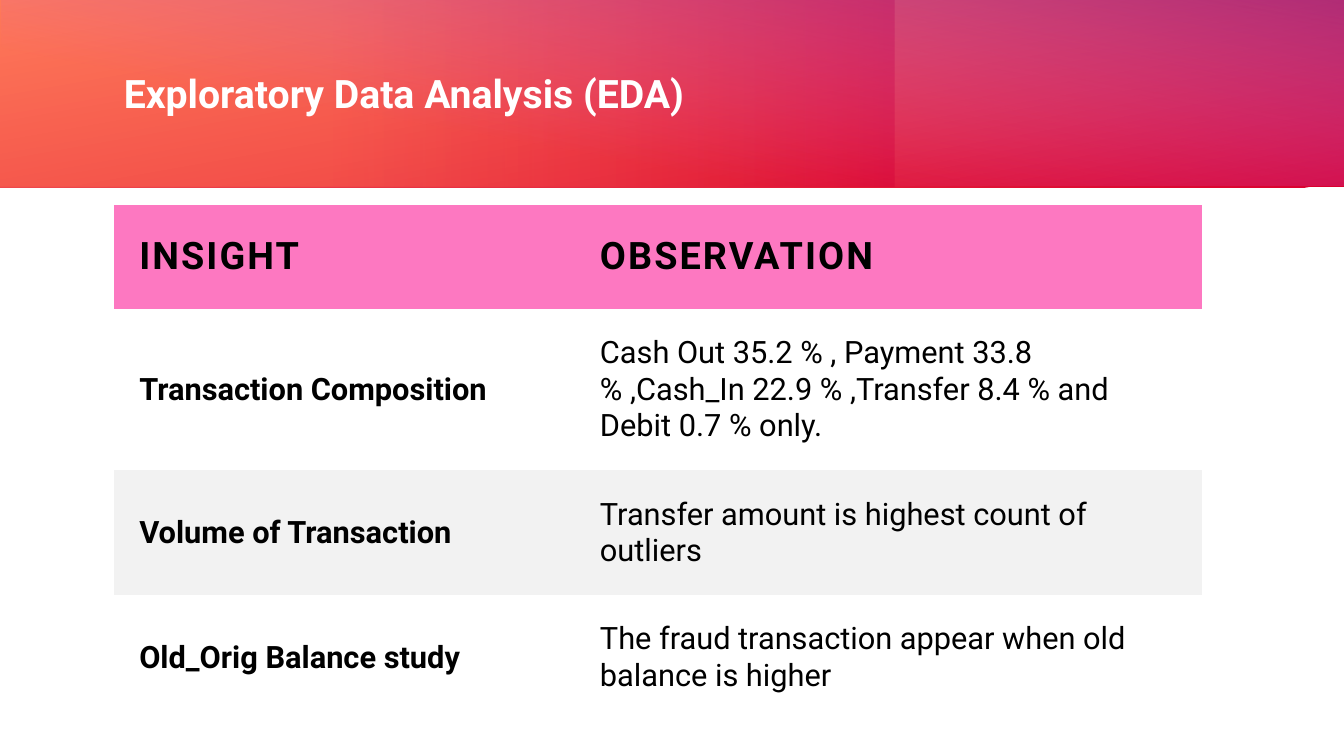
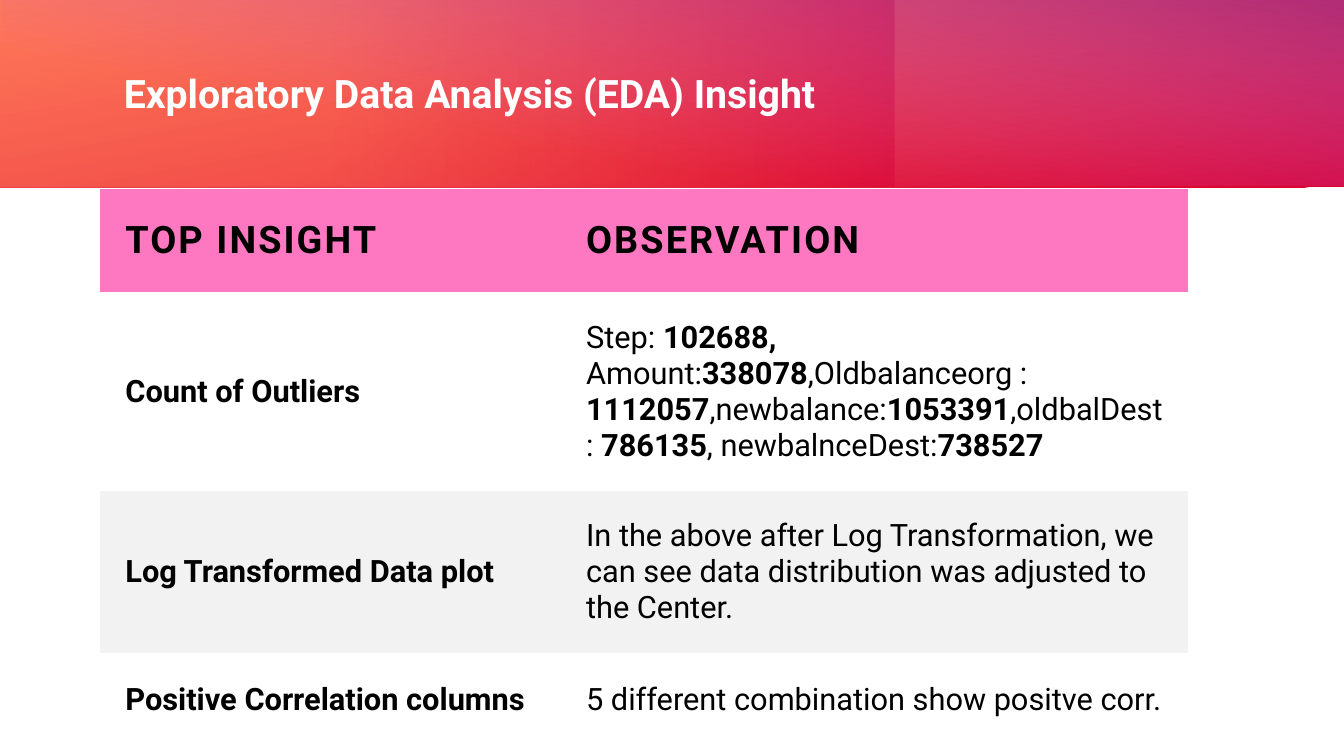
from pptx import Presentation
from pptx.dml.color import RGBColor
from pptx.enum.shapes import MSO_SHAPE
from pptx.enum.text import MSO_ANCHOR
from pptx.oxml.ns import qn
from pptx.util import Cm, Pt
from lxml import etree

FONT = "Roboto"
WHITE = RGBColor(0xFF, 0xFF, 0xFF)
BLACK = RGBColor(0x00, 0x00, 0x00)
PINK = RGBColor(0xFD, 0x78, 0xC1)
GREY = RGBColor(0xF2, 0xF2, 0xF2)
RED = RGBColor(0xDA, 0x00, 0x2F)
ORANGE = RGBColor(0xFF, 0x84, 0x63)
CORAL = RGBColor(0xFF, 0x6C, 0x4F)
ORCHID = RGBColor(0xD8, 0x61, 0xD4)
PURPLE = RGBColor(0x93, 0x25, 0x8E)

PLAIN_TABLE = "{2D5ABB26-0587-4C30-8999-92F81FD0307C}"
COL_WIDTHS = (11.61, 15.82)
HEADER_HEIGHT, ROW_HEIGHT = 2.62, 2.39
CELL_MARGIN = Cm(0.64)

# left, top, width, height; angle; stops as (position, colour, opacity in %)
BAND_LAYERS = [
    ((-0.03, 0, 33.91, 4.72), 100, [(0, RED, 100), (1, ORANGE, 100)]),
    ((-0.03, 0, 22.58, 4.7), 0, [(0.37, CORAL, 42), (0.99, RED, 50)]),
    ((0.03, -0.03, 33.88, 4.7), 80, [(0.32, ORCHID, 0), (1, PURPLE, 66)]),
]

SLIDES = [
    ("Exploratory Data Analysis (EDA)", (2.87, 5.16), [
        ("INSIGHT", "OBSERVATION"),
        ("Transaction Composition",
         "Cash Out 35.2 % , Payment 33.8 % ,Cash_In 22.9 % ,"
         "Transfer 8.4 % and Debit 0.7 % only."),
        ("Volume of Transaction",
         "Transfer amount is highest count of outliers"),
        ("Old_Orig Balance study",
         "The fraud transaction appear when old balance is higher"),
    ]),
    ("Exploratory Data Analysis (EDA) Insight", (2.52, 4.75), [
        ("TOP INSIGHT", "OBSERVATION"),
        ("Count of Outliers",
         "Step: *102688,* Amount:*338078*,Oldbalanceorg : *1112057*"
         ",newbalance:*1053391*,oldbalDest: *786135*"
         ", newbalnceDest:*738527*"),
        ("Log Transformed Data plot",
         "In the above after Log Transformation, we can see data "
         "distribution was adjusted to the Center."),
        ("Positive Correlation columns",
         "5 different combination show positve corr."),
    ]),
]


def add_run(p, text, spacing=0, color=BLACK, **font):
    r = p.add_run()
    r.text = text
    for name, value in {"name": FONT, **font}.items():
        setattr(r.font, name, value)
    r.font.color.rgb = color
    if spacing:
        r.font._element.set("spc", str(int(spacing * 100)))


def add_gradient(s, box, angle, stops):
    """Add a borderless rectangle with a two-stop translucent gradient."""
    sp = s.shapes.add_shape(MSO_SHAPE.RECTANGLE, *map(Cm, box))
    sp.shadow.inherit = False
    sp.line.fill.background()
    sp.fill.gradient()
    sp.fill.gradient_angle = angle
    for stop, (position, color, _) in zip(sp.fill.gradient_stops, stops):
        stop.position = position
        stop.color.rgb = color
    colors = sp._element.spPr.iter(qn("a:srgbClr"))
    for clr, (_, _, opacity) in zip(list(colors), stops):
        if opacity < 100:
            etree.SubElement(clr, qn("a:alpha"), val=str(opacity * 1000))


def add_title_band(s, title):
    for layer in BAND_LAYERS:
        add_gradient(s, *layer)
    tf = s.shapes.add_textbox(Cm(2.87), Cm(0.97), Cm(27.43), Cm(2.87)).text_frame
    tf.word_wrap = True
    tf.vertical_anchor = MSO_ANCHOR.MIDDLE
    p = tf.paragraphs[0]
    p.line_spacing = 0.9
    add_run(p, title, color=WHITE, size=Pt(28), bold=True)


def fill_cell(cell, text, row, col):
    """Write a cell; in the observation column, *asterisks* mark bold parts."""
    cell.vertical_anchor = MSO_ANCHOR.MIDDLE
    for side in ("left", "right", "top", "bottom"):
        setattr(cell, f"margin_{side}", CELL_MARGIN)
    if row % 2:
        cell.fill.background()
    else:
        cell.fill.solid()
        cell.fill.fore_color.rgb = GREY if row else PINK
    p = cell.text_frame.paragraphs[0]
    if row == 0:
        add_run(p, text, spacing=1.5, size=Pt(27), bold=True)
        return
    for i, part in enumerate(text.split("*")):
        if part:
            add_run(p, part, size=Pt(22), bold=col == 0 or i % 2 == 1)


def add_insight_table(s, left, top, rows):
    heights = [HEADER_HEIGHT] + [ROW_HEIGHT] * (len(rows) - 1)
    table = s.shapes.add_table(len(rows), len(COL_WIDTHS), Cm(left), Cm(top),
                               Cm(sum(COL_WIDTHS)), Cm(sum(heights))).table
    table.horz_banding = False
    table._tbl.tblPr.find(qn("a:tableStyleId")).text = PLAIN_TABLE
    for column, width in zip(table.columns, COL_WIDTHS):
        column.width = Cm(width)
    for i, (texts, height) in enumerate(zip(rows, heights)):
        table.rows[i].height = Cm(height)
        for j, text in enumerate(texts):
            fill_cell(table.cell(i, j), text, i, j)


def main():
    prs = Presentation()
    prs.slide_width, prs.slide_height = Cm(33.87), Cm(19.05)
    for title, (left, top), rows in SLIDES:
        s = prs.slides.add_slide(prs.slide_layouts[6])
        add_title_band(s, title)
        add_insight_table(s, left, top, rows)
    prs.save("out.pptx")


if __name__ == "__main__":
    main()
